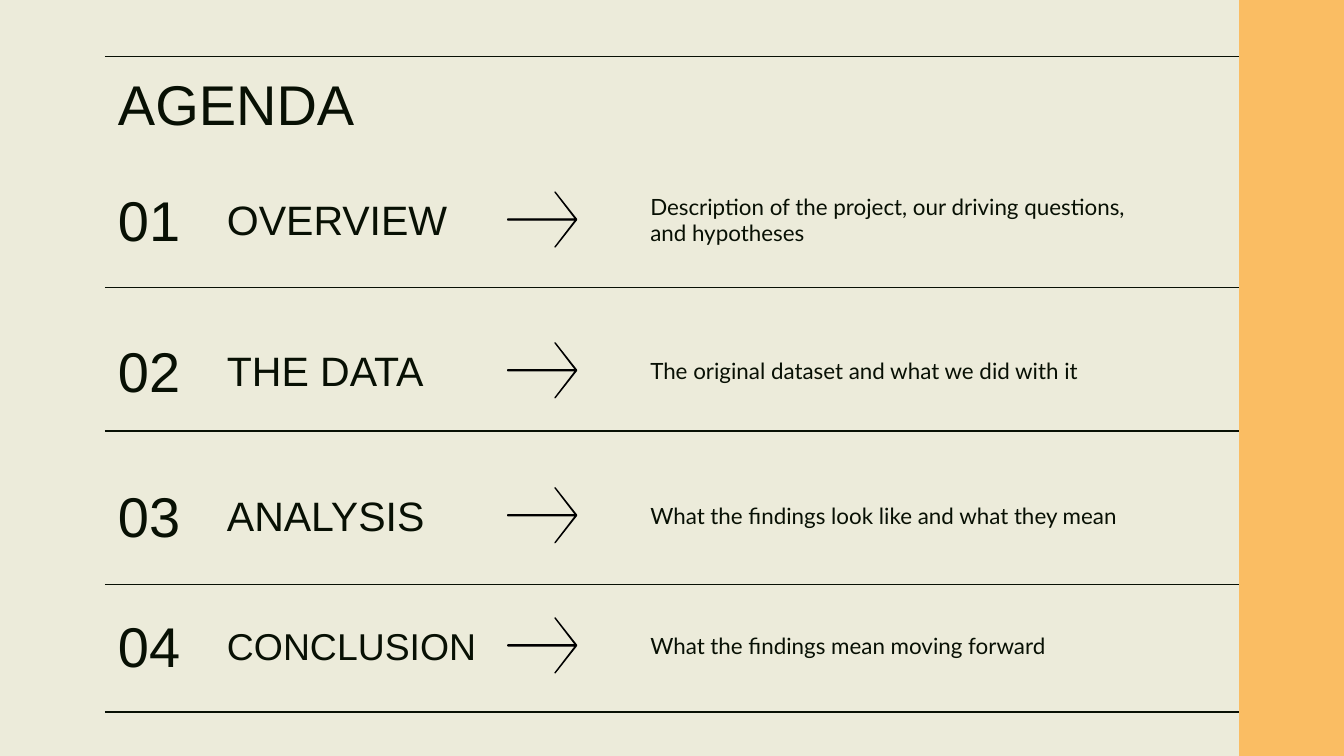
from pptx import Presentation
from pptx.dml.color import RGBColor
from pptx.enum.shapes import MSO_CONNECTOR, MSO_SHAPE
from pptx.enum.text import MSO_ANCHOR, MSO_AUTO_SIZE, PP_ALIGN
from pptx.oxml.ns import qn
from pptx.util import Cm, Pt

STRAIGHT = MSO_CONNECTOR.STRAIGHT
RECT = MSO_SHAPE.RECTANGLE
TOP, MIDDLE = MSO_ANCHOR.TOP, MSO_ANCHOR.MIDDLE
NO_FIT = MSO_AUTO_SIZE.NONE
LEFT = PP_ALIGN.LEFT

INK = RGBColor(0x08, 0x10, 0x04)
BLACK = RGBColor(0x00, 0x00, 0x00)
CREAM = RGBColor(0xEC, 0xEB, 0xDA)
ORANGE = RGBColor(0xFA, 0xBD, 0x63)
HEAD_FONT, BODY_FONT = "Arial", "Lato"

# All lengths in centimetres
SLIDE_W, SLIDE_H = 25.4, 14.29
MARGIN = 1.98
BAND_X = SLIDE_W - MARGIN
ROW_H = 1.24
NAME_X, ARROW_X, TEXT_X = 4.04, 9.6, 12.04
RULES = [1.07, 5.44, 8.15, 11.05, 13.46]

# Top, number, name, name size, name width, description
ROWS = [
    (3.53, "01", "OVERVIEW", 22, 4.72,
     "Description of the project, our driving questions, and hypotheses"),
    (6.38, "02", "THE DATA", 22, 4.72,
     "The original dataset and what we did with it"),
    (9.12, "03", "ANALYSIS", 22, 4.72,
     "What the findings look like and what they mean"),
    (11.58, "04", "CONCLUSION", 20, 5.31,
     "What the findings mean moving forward"),
]

# Thin arrow outline, in hundredths of a centimetre
ARROW = [(89, 0), (128, 51), (0, 51), (0, 53), (128, 53), (89, 104), (130, 52)]


class Agenda:
    def __init__(self, prs):
        self.s = prs.slides.add_slide(prs.slide_layouts[5])
        fill = self.s.background.fill
        fill.solid()
        fill.fore_color.rgb = CREAM

    def set_text(self, tf, text, size, font, anchor):
        tf.word_wrap = True
        tf.auto_size = NO_FIT
        tf.vertical_anchor = anchor
        tf.margin_left = tf.margin_right = Cm(0.25)
        tf.margin_top = tf.margin_bottom = Cm(0.25)
        p = tf.paragraphs[0]
        p.alignment = LEFT
        r = p.add_run()
        r.text = text
        r.font.size = Pt(size)
        r.font.name = font
        r.font.color.rgb = INK

    def title(self, text, x, y, w, h):
        sp = self.s.shapes.title
        sp.left, sp.top, sp.width, sp.height = Cm(x), Cm(y), Cm(w), Cm(h)
        self.set_text(sp.text_frame, text, 30, HEAD_FONT, TOP)

    def text(self, text, x, y, w, size, font=HEAD_FONT):
        sp = self.s.shapes.add_textbox(Cm(x), Cm(y), Cm(w), Cm(ROW_H))
        self.set_text(sp.text_frame, text, size, font, MIDDLE)

    def band(self, x, y, w, h):
        sp = self.s.shapes.add_shape(RECT, Cm(x), Cm(y), Cm(w), Cm(h))
        sp.shadow.inherit = False
        sp.fill.solid()
        sp.fill.fore_color.rgb = ORANGE
        sp.line.fill.background()

    def rule(self, y):
        line = self.s.shapes.add_connector(
            STRAIGHT, Cm(MARGIN), Cm(y), Cm(BAND_X), Cm(y))
        line.line.color.rgb = INK
        line.line.width = Pt(0.75)
        sp_pr = line._element.spPr
        sp_pr.append(sp_pr.makeelement(qn("a:effectLst"), {}))

    def arrow(self, x, y):
        builder = self.s.shapes.build_freeform(*ARROW[0], scale=Cm(0.01))
        builder.add_line_segments(ARROW[1:], close=True)
        sp = builder.convert_to_shape(Cm(x), Cm(y))
        sp.shadow.inherit = False
        sp.fill.solid()
        sp.fill.fore_color.rgb = BLACK
        sp.line.color.rgb = BLACK
        sp.line.width = Pt(0.75)


def main():
    prs = Presentation()
    prs.slide_width, prs.slide_height = Cm(SLIDE_W), Cm(SLIDE_H)
    agenda = Agenda(prs)
    agenda.band(BAND_X, 0, MARGIN, SLIDE_H)
    agenda.title("AGENDA", MARGIN, RULES[0], BAND_X - MARGIN, 1.6)
    for y in RULES:
        agenda.rule(y)
    for y, number, name, size, width, description in ROWS:
        agenda.text(number, MARGIN, y, 2.03, 30)
        agenda.text(name, NAME_X, y, width, size)
        agenda.arrow(ARROW_X, y + 0.1)
        agenda.text(description, TEXT_X, y, 9.86, 12, BODY_FONT)
    prs.save("out.pptx")


if __name__ == "__main__":
    main()
